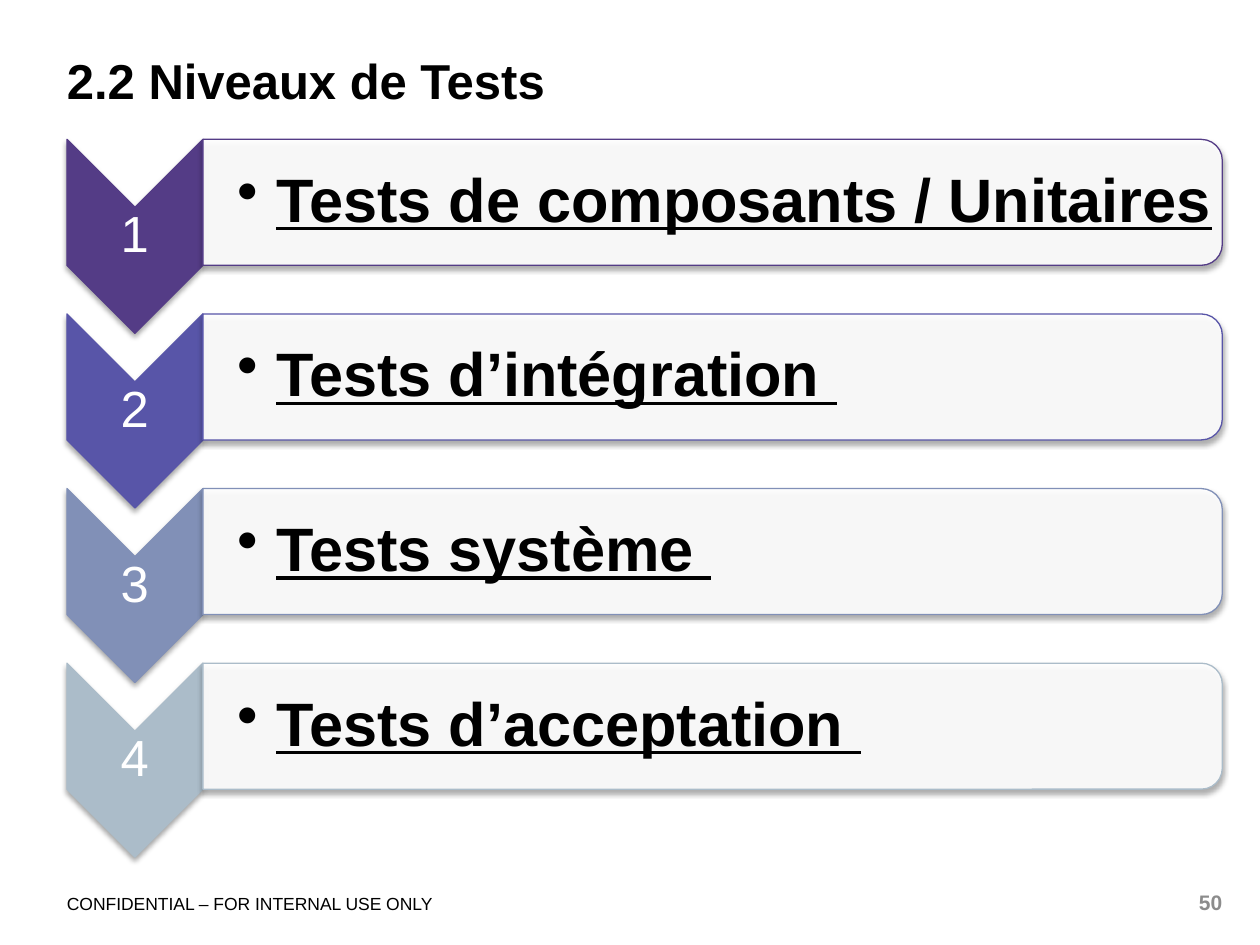
import pptx
import pptx.util
import pptx.dml.color
import pptx.enum.shapes
import pptx.enum.text
import pptx.oxml
from pptx.oxml.ns import nsdecls, qn

Cm, Pt = pptx.util.Cm, pptx.util.Pt
SHAPE = pptx.enum.shapes.MSO_SHAPE
ALIGN = pptx.enum.text.PP_ALIGN
ANCHOR = pptx.enum.text.MSO_ANCHOR

TITLE = "2.2 Niveaux de Tests"
FOOTER = "CONFIDENTIAL – FOR INTERNAL USE ONLY"
PAGE = "50"
LEVELS = [
    ("Tests de composants / Unitaires", "543C86"),
    ("Tests d’intégration ", "5855A8"),
    ("Tests système ", "8190B7"),
    ("Tests d’acceptation ", "ABBCC9"),
]

# All lengths in cm
LEFT, RIGHT = 1.35, 24.64
TOP, PITCH = 2.81, 3.52
CHEV_W, CHEV_H = 2.74, 3.91
BAR_X, BAR_H = LEFT + CHEV_W, 2.54
BAR_W = RIGHT - BAR_X


def color(code):
    return pptx.dml.color.RGBColor.from_string(code)


def shade(shape):
    """Give the shape a soft shadow straight below it."""
    shape.shadow.inherit = False
    effects = shape._element.spPr.find(qn("a:effectLst"))
    effects.append(pptx.oxml.parse_xml(
        f'<a:outerShdw {nsdecls("a")} blurRad="39400" dist="22900" dir="5400000" '
        'rotWithShape="0"><a:srgbClr val="000000"><a:alpha val="35000"/>'
        '</a:srgbClr></a:outerShdw>'))


def turned(slide, kind, x, y, w, h, fill, line):
    """Add a shape rotated by 90 degrees that covers the box x, y, w, h."""
    left, top = x + (w - h) / 2, y + (h - w) / 2
    shape = slide.shapes.add_shape(kind, Cm(left), Cm(top), Cm(h), Cm(w))
    shape.rotation = 90
    shape.fill.solid()
    shape.fill.fore_color.rgb = color(fill)
    shape.line.color.rgb = color(line)
    shape.line.width = Pt(0.75)
    shade(shape)
    return shape


def fade(shape, percent):
    """Set the opacity of a solid fill."""
    tone = shape._element.spPr.find(qn("a:solidFill"))[0]
    tone.append(pptx.oxml.parse_xml(
        f'<a:alpha {nsdecls("a")} val="{percent * 1000}"/>'))


def write(slide, text, x, y, w, h, size, ink="000000", bold=False,
          align=ALIGN.LEFT, anchor=ANCHOR.MIDDLE, space=None, inset=0,
          bullet=False):
    box = slide.shapes.add_textbox(Cm(x), Cm(y), Cm(w), Cm(h))
    frame = box.text_frame
    frame.word_wrap = True
    frame.vertical_anchor = anchor
    frame.margin_left = Cm(inset)
    frame.margin_top = frame.margin_right = frame.margin_bottom = 0
    para = frame.paragraphs[0]
    para.alignment = align
    para.line_spacing = space
    if bullet:
        props = para._p.get_or_add_pPr()
        props.set("marL", str(Cm(0.79)))
        props.set("indent", str(-Cm(0.79)))
        props.append(pptx.oxml.parse_xml(
            f'<a:buChar {nsdecls("a")} char="•"/>'))
    run = para.add_run()
    run.text = text
    font = run.font
    font.name, font.size, font.bold = "Arial", Pt(size), bold
    font.underline = bullet
    font.color.rgb = color(ink)


def level(slide, rank, text, tone):
    y = TOP + rank * PITCH
    turned(slide, SHAPE.CHEVRON, LEFT, y, CHEV_W, CHEV_H, tone, tone)
    write(slide, str(rank + 1), LEFT, y + CHEV_W / 2, CHEV_W, CHEV_H - CHEV_W,
          29, "FFFFFF", align=ALIGN.CENTER, space=0.9)
    bar = turned(slide, SHAPE.ROUND_2_SAME_RECTANGLE, BAR_X, y, BAR_W, BAR_H,
                 "FFFFFF", tone)
    fade(bar, 90)
    write(slide, text, BAR_X, y + 0.12, BAR_W, BAR_H - 0.24, 35, bold=True,
          space=0.9, inset=0.69, bullet=True)


def main():
    deck = pptx.Presentation()
    deck.slide_width, deck.slide_height = Cm(25.4), Cm(19.05)
    slide = deck.slides.add_slide(deck.slide_layouts[6])
    write(slide, TITLE, LEFT, 0.94, RIGHT - LEFT, 1.5, 28, bold=True, space=0.9)
    for rank, (text, tone) in enumerate(LEVELS):
        level(slide, rank, text, tone)
    write(slide, FOOTER, LEFT, 18, 11.23, 0.5, 10, anchor=ANCHOR.TOP)
    write(slide, PAGE, RIGHT - 1, 17.93, 1, 0.5, 12, "8C8C8C", bold=True,
          align=ALIGN.RIGHT, anchor=ANCHOR.TOP)
    deck.save("out.pptx")


if __name__ == "__main__":
    main()
